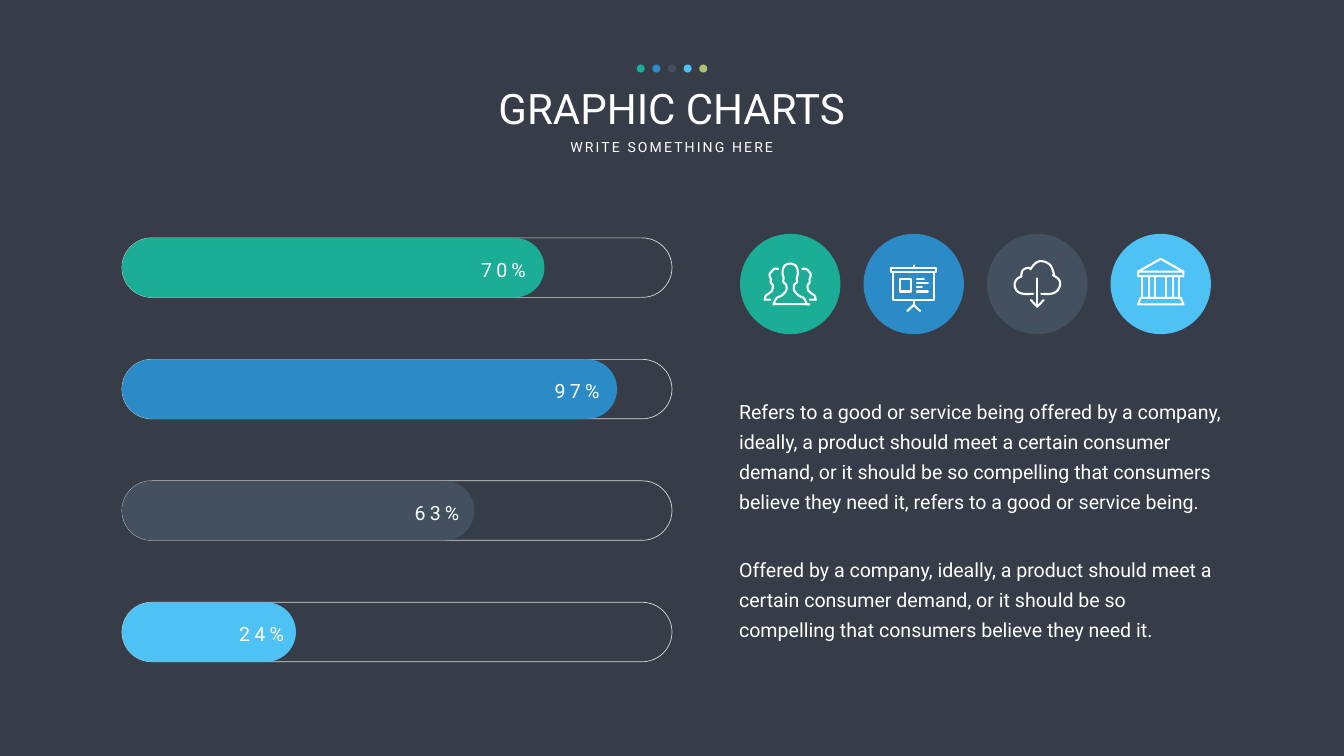
from lxml import etree
from pptx import Presentation
from pptx.dml.color import RGBColor
from pptx.enum.shapes import MSO_SHAPE as Shape
from pptx.enum.text import MSO_AUTO_SIZE as AutoSize, PP_ALIGN as Align
from pptx.oxml.ns import qn
from pptx.util import Inches, Pt

hex_color = RGBColor.from_string
GREEN, BLUE, SLATE, SKY, LIME = "1CAD97", "2B8BC7", "425060", "4EC2F4", "AAC46F"
WHITE, OUTLINE, BACKGROUND = "FFFFFF", "D9D9D9", "363D48"

presentation = Presentation()
presentation.slide_width = Inches(26.66)
presentation.slide_height = Inches(15)
slide = presentation.slides.add_slide(presentation.slide_layouts[6])
slide.background.fill.solid()
slide.background.fill.fore_color.rgb = hex_color(BACKGROUND)


def add_text(text, left, top, width, height, size=28, align=Align.LEFT, tracking=0,
             wrap=True, margins=(0.1, 0.05), line_height=None, gap=0):
    """Each line of text becomes a paragraph; tracking, line_height and gap are in points."""
    box = slide.shapes.add_textbox(Inches(left), Inches(top), Inches(width), Inches(height))
    frame = box.text_frame
    frame.word_wrap = wrap
    frame.auto_size = AutoSize.SHAPE_TO_FIT_TEXT
    frame.margin_left = frame.margin_right = Inches(margins[0])
    frame.margin_top = frame.margin_bottom = Inches(margins[1])
    for index, line in enumerate(text.split("\n")):
        paragraph = frame.paragraphs[0] if index == 0 else frame.add_paragraph()
        paragraph.alignment = align
        if line_height:
            paragraph.line_spacing = Pt(line_height)
        if index:
            paragraph.space_before = Pt(gap)
        run = paragraph.add_run()
        run.text = line
        run.font.name = "Roboto"
        run.font.size = Pt(size)
        run.font.color.rgb = hex_color(WHITE)
        if tracking:
            run.font._element.set("spc", str(tracking * 100))


def smooth(points):
    """Return a Catmull-Rom curve; a point given twice makes a corner."""
    padded = [points[0], *points, points[-1]]
    curve = [points[0]]
    for a, b, c, d in zip(padded, padded[1:], padded[2:], padded[3:]):
        for t in (0.25, 0.5, 0.75, 1):
            curve.append(tuple(
                0.5 * (2 * q + (r - p) * t + (2 * p - 5 * q + 4 * r - s) * t ** 2
                       + (3 * q - p - 3 * r + s) * t ** 3)
                for p, q, r, s in zip(a, b, c, d)))
    return curve


# Heading
add_text("GRAPHIC CHARTS", 7.7, 1.59, 11.25, 1.11, size=60, align=Align.CENTER)
add_text("WRITE SOMETHING HERE", 11.15, 2.7, 4.35, 0.44, size=20, align=Align.CENTER,
         tracking=3, wrap=False)

# Dots, bars and icon discs: preset, left, top, width, height, fill (None for an outline)
BAR_LEFT, BAR_TOP, BAR_STEP, BAR_WIDTH, BAR_HEIGHT = 2.42, 4.72, 2.41, 10.91, 1.18
DISC_LEFT, DISC_TOP, DISC_STEP, DISC_SIZE = 14.68, 4.64, 2.45, 1.99
bars = [("70%", 8.38, 9.23, 1.3, GREEN), ("97%", 9.82, 10.71, 1.28, BLUE),
        ("63%", 6.99, 7.94, 1.27, SLATE), ("24%", 3.45, 4.44, 1.29, SKY)]

parts = [(Shape.OVAL, 12.63 + 0.31 * i, 1.28, 0.16, 0.16, color)
         for i, color in enumerate((GREEN, BLUE, SLATE, SKY, LIME))]
for i, (label, width, label_left, label_width, color) in enumerate(bars):
    top = BAR_TOP + BAR_STEP * i
    parts.append((Shape.ROUNDED_RECTANGLE, BAR_LEFT, top, BAR_WIDTH, BAR_HEIGHT, None))
    parts.append((Shape.ROUNDED_RECTANGLE, BAR_LEFT, top, width, BAR_HEIGHT, color))
    parts.append((Shape.OVAL, DISC_LEFT + DISC_STEP * i, DISC_TOP, DISC_SIZE, DISC_SIZE, color))

for preset, left, top, width, height, color in parts:
    shape = slide.shapes.add_shape(preset, Inches(left), Inches(top), Inches(width), Inches(height))
    shape.shadow.inherit = False
    if preset == Shape.ROUNDED_RECTANGLE:
        shape.adjustments[0] = 0.5
    if color:
        shape.fill.solid()
        shape.fill.fore_color.rgb = hex_color(color)
        shape.line.fill.background()
    else:
        shape.fill.background()
        shape.line.color.rgb = hex_color(OUTLINE)
        shape.line.width = Pt(1)

for i, (label, width, label_left, label_width, color) in enumerate(bars):
    add_text(label, label_left, BAR_TOP + BAR_STEP * i + 0.34, label_width, 0.57,
             align=Align.RIGHT, tracking=6)

# Body text
add_text("Refers to a good or service being offered by a company, ideally, a product should "
         "meet a certain consumer demand, or it should be so compelling that consumers believe "
         "they need it, refers to a good or service being.\n"
         "Offered by a company, ideally, a product should meet a certain consumer demand, "
         "or it should be so compelling that consumers believe they need it.",
         14.42, 7.68, 10.09, 5.2, margins=(0.24, 0.12), line_height=43, gap=54)

# Icons: strokes in inches from the disc centre; a closed stroke ends where it starts
half_person = [(0, -0.405), (0.1, -0.37), (0.145, -0.29), (0.15, -0.19), (0.13, -0.12),
               (0.135, -0.04), (0.08, 0.02), (0.08, 0.13), (0.17, 0.23), (0.27, 0.28),
               (0.33, 0.4), (0.33, 0.4)]
side_person = [(0.24, -0.3), (0.31, -0.3), (0.37, -0.25), (0.41, -0.18), (0.385, -0.1),
               (0.385, -0.03), (0.345, 0.03), (0.36, 0.13), (0.42, 0.185), (0.49, 0.24),
               (0.5, 0.31), (0.5, 0.31), (0.39, 0.31)]
mirrored_half = [(-x, y) for x, y in half_person]
people = [smooth(mirrored_half[::-1] + half_person[1:] + [(-0.33, 0.4)])]
people += [smooth([(side * x, y) for x, y in side_person]) for side in (-1, 1)]

board = [[(0, -0.37), (0, -0.32)], [(0, 0.32), (0, 0.415)],
         [(-0.125, 0.535), (0, 0.415), (0.125, 0.535)]]
for left, top, right, bottom in ((-0.445, -0.32, 0.445, -0.235), (-0.405, -0.235, 0.405, 0.32),
                                 (-0.275, -0.105, -0.06, 0.15)):
    board.append([(left, top), (right, top), (right, bottom), (left, bottom), (left, top)])
for end, y in ((0.2, -0.105), (0.28, -0.02), (0.16, 0.065), (0.28, 0.15)):
    board.append([(0.065, y), (end, y)])

cloud = [smooth([
    (-0.08, 0.195), (-0.28, 0.195), (-0.4, 0.14), (-0.45, 0.02), (-0.41, -0.09),
    (-0.32, -0.15), (-0.32, -0.15), (-0.29, -0.27), (-0.195, -0.32), (-0.13, -0.3),
    (-0.13, -0.3), (-0.04, -0.41), (0.085, -0.455), (0.25, -0.385), (0.325, -0.22),
    (0.32, -0.17), (0.32, -0.17), (0.42, -0.1), (0.455, 0), (0.4, 0.13),
    (0.27, 0.195), (0.08, 0.195)]),
    [(0, -0.11), (0, 0.45)], [(-0.125, 0.32), (0, 0.45), (0.125, 0.32)]]

bank = [[(-0.45, -0.245), (0, -0.5), (0.45, -0.245), (0.45, -0.155), (-0.45, -0.155),
         (-0.45, -0.245), (0.45, -0.245)],
        [(-0.4, 0.275), (0.4, 0.275), (0.45, 0.405), (-0.45, 0.405), (-0.4, 0.275)]]
for x in (-0.365, -0.235, -0.105, 0.105, 0.235, 0.365):
    bank.append([(x, -0.155), (x, 0.275)])

for i, strokes in enumerate((people, board, cloud, bank)):
    center_x = DISC_LEFT + DISC_SIZE / 2 + DISC_STEP * i
    center_y = DISC_TOP + DISC_SIZE / 2
    placed = [[(Inches(center_x + x), Inches(center_y + y)) for x, y in stroke]
              for stroke in strokes]
    builder = slide.shapes.build_freeform(*placed[0][0])
    for index, points in enumerate(placed):
        if index:
            builder.move_to(*points[0])
        builder.add_line_segments(points[1:], close=points[0] == points[-1])
    icon = builder.convert_to_shape()
    icon.shadow.inherit = False
    icon.fill.background()
    icon.line.color.rgb = hex_color(WHITE)
    icon.line.width = Pt(3)
    line = icon.line._get_or_add_ln()
    line.set("cap", "rnd")
    etree.SubElement(line, qn("a:round"))

presentation.save("out.pptx")
